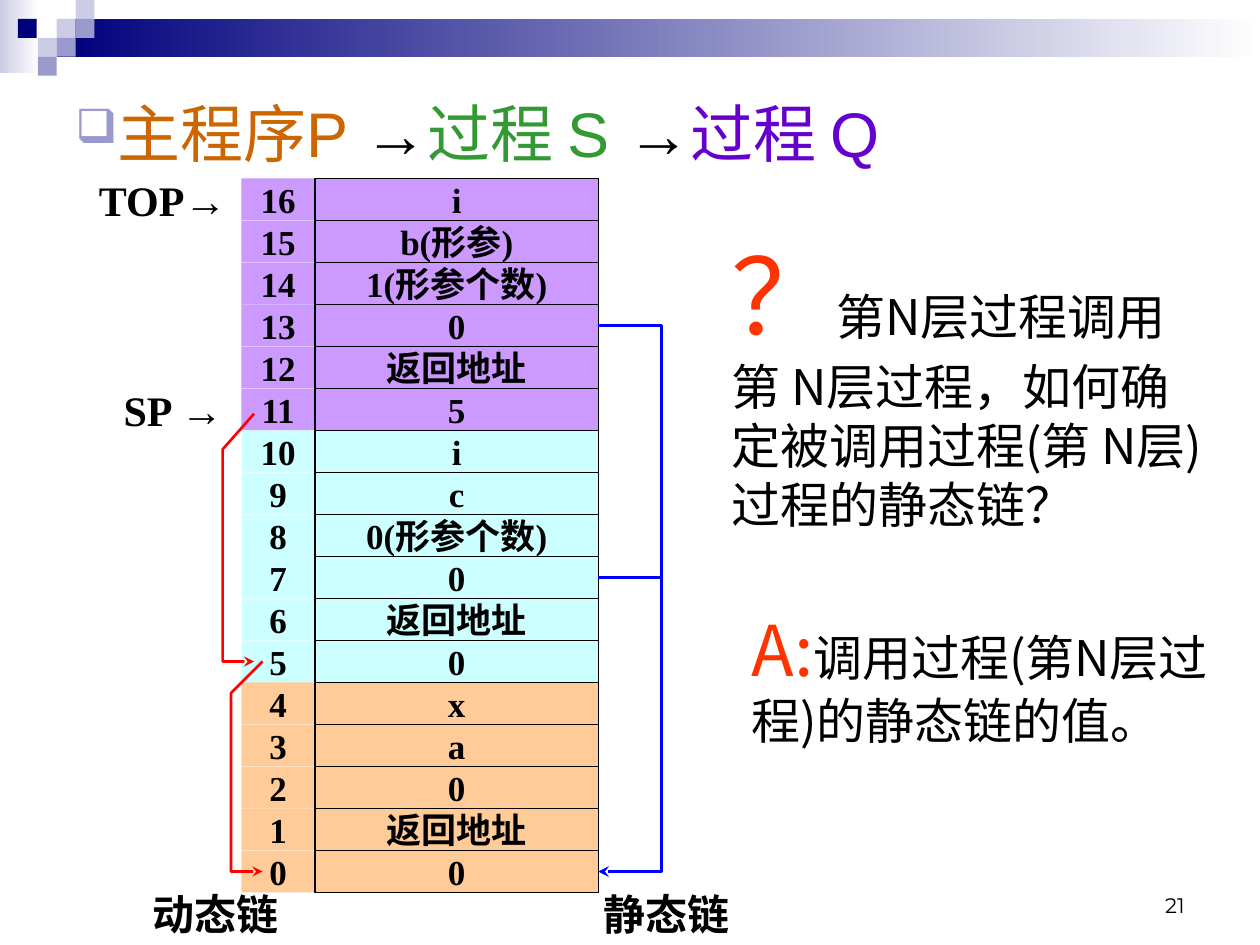
from lxml import etree
from pptx import Presentation
from pptx import util as u
from pptx.dml.color import RGBColor
from pptx.enum import shapes, text
from pptx.oxml import ns

PX = u.Inches(1) // 120

BLACK = RGBColor(0x00, 0x00, 0x00)
WHITE = RGBColor(0xFF, 0xFF, 0xFF)
NAVY = RGBColor(0x00, 0x00, 0x7D)
PALE = RGBColor(0xCC, 0xCC, 0xE6)
MID = RGBColor(0x99, 0x99, 0xCC)
PEACH = RGBColor(0xFF, 0xCC, 0x99)
AQUA = RGBColor(0xCC, 0xFF, 0xFF)
LILAC = RGBColor(0xCC, 0x99, 0xFF)
RED = RGBColor(0xFF, 0x00, 0x00)
BLUE = RGBColor(0x00, 0x00, 0xFF)
BROWN = RGBColor(0xCC, 0x66, 0x00)
GREEN = RGBColor(0x33, 0x99, 0x33)
PURPLE = RGBColor(0x66, 0x00, 0xCC)
ORANGE = RGBColor(0xFF, 0x33, 0x00)

SERIF, SANS, HAN = "Times New Roman", "Arial", "Noto Sans CJK SC"
LEFT, MIDDLE, RIGHT = text.PP_ALIGN.LEFT, text.PP_ALIGN.CENTER, text.PP_ALIGN.RIGHT

FRAMES = [
    (LILAC, ["i", "b(形参)", "1(形参个数)", "0", "返回地址", "5"]),
    (AQUA, ["i", "c", "0(形参个数)", "0", "返回地址", "0"]),
    (PEACH, ["x", "a", "0", "返回地址", "0"]),
]
ROW, KEY, CELL = 40, 70, 270


def child(node, tag, **attrs):
    return etree.SubElement(node, ns.qn(tag), attrs)


def rect(slide, x, y, w, h, fill, edge=None, fade=False):
    box = slide.shapes.add_shape(
        shapes.MSO_SHAPE.RECTANGLE, x * PX, y * PX, w * PX, h * PX)
    box.shadow.inherit = False
    if fade:
        box.fill.gradient()
        box.fill.gradient_angle = 0
        for stop, color in zip(box.fill.gradient_stops, (fill, WHITE)):
            stop.color.rgb = color
    else:
        box.fill.solid()
        box.fill.fore_color.rgb = fill
    if edge is None:
        box.line.fill.background()
    else:
        box.line.color.rgb = edge
        box.line.width = u.Pt(1)
    return box


def style(font, size, name, color, bold):
    font.size, font.name, font.bold = u.Pt(size), name, bold
    font.color.rgb = color


def write(box, runs, align, anchor, wrap, bold=False, bullet=None):
    frame = box.text_frame
    frame.word_wrap = wrap
    frame.vertical_anchor = anchor
    para = frame.paragraphs[0]
    para.alignment = align
    if bullet:
        props = para._p.get_or_add_pPr()
        child(child(props, "a:buClr"), "a:srgbClr", val=str(MID))
        child(props, "a:buSzPct", val="75000")
        child(props, "a:buChar", char=bullet)
    for words, *look in runs:
        run = para.add_run()
        run.text = words
        if len(runs) > 1:
            style(run.font, *look, bold)
        child(run._r.get_or_add_rPr(), "a:ea", typeface=HAN)
    if len(runs) == 1:
        style(para.font, *runs[0][1:], bold)
    return frame


def label(slide, x, y, w, h, runs, align=LEFT, anchor=text.MSO_ANCHOR.MIDDLE,
          wrap=True, **more):
    box = slide.shapes.add_textbox(x * PX, y * PX, w * PX, h * PX)
    return write(box, runs, align, anchor, wrap, **more)


def banner(slide, x, y):
    side = 18
    rect(slide, x, y, 37, 70, PALE, fade=True)
    rect(slide, x + 54, y + side, 1146, 2 * side, NAVY, fade=True)
    tiles = [(54, 1, PALE), (72, 0, PALE), (72, 1, MID), (36, 2, PALE),
             (17, 1, NAVY), (54, 2, MID), (36, 3, MID)]
    for left, row, color in tiles:
        rect(slide, x + left, y + row * side, side, side, color)


def title(slide, x, y, w, h):
    parts = [("主程序P ", BROWN), ("→", BLACK), ("过程 S ", GREEN),
             ("→", BLACK), ("过程 Q", PURPLE)]
    label(slide, x, y, w, h, [(words, 36, SANS, color) for words, color in parts],
          bullet="❑")


def stack(slide, x, y):
    rows = [(color, value) for color, values in FRAMES for value in values]
    for i, (color, value) in enumerate(rows):
        top = y + i * ROW
        key = rect(slide, x, top, KEY, ROW, color)
        cell = rect(slide, x + KEY, top, CELL, ROW, color, BLACK)
        for box, words in ((key, str(len(rows) - 1 - i)), (cell, value)):
            frame = write(box, [(words, 20, SERIF, BLACK)], MIDDLE,
                          text.MSO_ANCHOR.MIDDLE, False, bold=True)
            frame.margin_top = frame.margin_bottom = 0


def chain(slide, points, color):
    path = slide.shapes.build_freeform(*points[0], scale=PX)
    path.add_line_segments(points[1:], close=False)
    link = path.convert_to_shape()
    link.shadow.inherit = False
    link.fill.background()
    link.line.color.rgb = color
    link.line.width = u.Pt(1.5)
    child(link.line._get_or_add_ln(), "a:tailEnd", type="stealth")


def links(slide, x, y):
    def mid(slot):
        return y + (16 - slot) * ROW + ROW // 2

    for start, end, tip, bend in ((5, 0, 20, 30), (11, 5, 12, 34)):
        top = mid(start) + (4 if start == 11 else 0)
        chain(slide, [(x + tip, top), (x + tip - 30, top + bend),
                      (x + tip - 30, mid(end)), (x + tip, mid(end))], RED)
    edge = x + KEY + CELL
    for start in (7, 13):
        chain(slide, [(edge, mid(start)), (edge + 60, mid(start)),
                      (edge + 60, mid(0)), (edge, mid(0))], BLUE)


def marks(slide, x, y):
    for left, top, words, arrow in ((-160, 0, "TOP", "→"), (-150, 5, "SP ", "→"),
                                    (-110, 17, "动态链", ""), (320, 17, "静态链", "")):
        runs = [(words, 24, SERIF, BLACK)]
        if arrow:
            runs.append((arrow, 24, SANS, BLACK))
        label(slide, x + left, y + top * ROW, 170, ROW, runs, MIDDLE,
              wrap=False, bold=True)


def note(slide, x, y, w, h, head, size, body):
    label(slide, x, y, w, h, [(head, size, HAN, ORANGE), (body, 28, HAN, BLACK)],
          anchor=text.MSO_ANCHOR.TOP)


def main():
    deck = Presentation()
    deck.slide_width, deck.slide_height = 1200 * PX, 900 * PX
    slide = deck.slides.add_slide(deck.slide_layouts[6])
    banner(slide, 0, 0)
    title(slide, 60, 60, 1080, 131)
    stack(slide, 230, 170)
    links(slide, 230, 170)
    marks(slide, 230, 170)
    note(slide, 685, 214, 482, 300, "？", 60,
         "第N层过程调用第 N层过程，如何确定被调用过程(第 N层)过程的静态链？")
    note(slide, 704, 572, 463, 204, "A:", 40, "调用过程(第N层过程)的静态链的值。")
    label(slide, 860, 820, 280, 60, [("21", 12, "Montserrat", BLACK)], RIGHT,
          text.MSO_ANCHOR.BOTTOM)
    deck.save("out.pptx")


if __name__ == "__main__":
    main()
